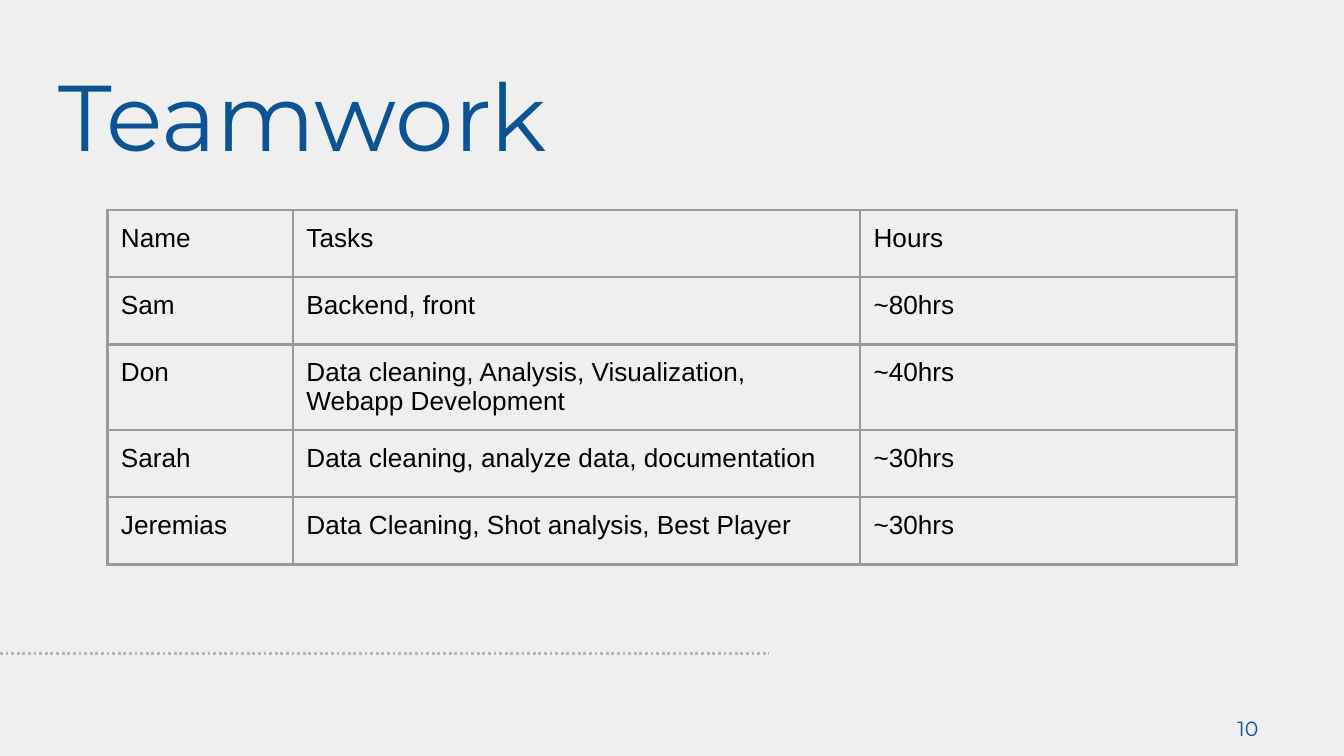
from pptx import Presentation
from pptx.dml.color import RGBColor
from pptx.enum.dml import MSO_LINE_DASH_STYLE as Dash
from pptx.enum.shapes import MSO_CONNECTOR as Connector, MSO_SHAPE as Shape
from pptx.enum.text import MSO_ANCHOR as Anchor, PP_ALIGN as Align
from pptx.oxml.ns import qn
from pptx.util import Pt
from lxml.etree import SubElement

COLORS = {
    "background": "EFEFEF",
    "accent": "0B5394",
    "text": "000000",
    "border": "999999",
    "rule": "B7B7B7",
}
TITLE_FONT = {"name": "Montserrat", "size": Pt(50), "bold": False}
NUMBER_FONT = {"name": "Montserrat", "size": Pt(11)}
CELL_FONT = {"name": "Arial", "size": Pt(14), "bold": False}
MARGINS = ("margin_left", "margin_top", "margin_right", "margin_bottom")
INSET = 7.2
COLUMN_WIDTHS = (99.4, 303.8, 201.6)
ROW_HEIGHT = 36
TEAM = [
    ("Name", "Tasks", "Hours"),
    ("Sam", "Backend, front", "~80hrs"),
    ("Don", "Data cleaning, Analysis, Visualization, Webapp Development", "~40hrs"),
    ("Sarah", "Data cleaning, analyze data, documentation", "~30hrs"),
    ("Jeremias", "Data Cleaning, Shot analysis, Best Player", "~30hrs"),
]


def color(key):
    return RGBColor.from_string(COLORS[key])


def set_margins(target, margins):
    for side, value in zip(MARGINS, margins):
        setattr(target, side, Pt(value))


def write(frame, text, font, color_key, align=Align.LEFT):
    para = frame.paragraphs[0]
    para.alignment = align
    span = para.add_run()
    span.text = text
    for name, value in font.items():
        setattr(span.font, name, value)
    span.font.color.rgb = color(color_key)
    return para


def add_rule(page, left, top, width):
    rule = page.shapes.add_connector(
        Connector.STRAIGHT, Pt(left), Pt(top), Pt(left + width), Pt(top)
    )
    rule.line.color.rgb = color("rule")
    rule.line.width = Pt(1.5)
    rule.line.dash_style = Dash.ROUND_DOT
    SubElement(rule.element.spPr, qn("a:effectLst"))


def add_page_number(page, left, top, width, height):
    box = page.shapes.add_shape(
        Shape.RECTANGLE, Pt(left), Pt(top), Pt(width), Pt(height)
    )
    box.shadow.inherit = False
    box.fill.solid()
    box.fill.fore_color.rgb = color("background")
    box.line.fill.background()
    frame = box.text_frame
    frame.word_wrap = True
    frame.vertical_anchor = Anchor.MIDDLE
    set_margins(frame, (0, 0, 0, INSET))
    write(frame, "10", NUMBER_FONT, "accent", Align.CENTER)


def place_title(page, left, top, width, height):
    title = page.shapes.title
    title.left, title.top = Pt(left), Pt(top)
    title.width, title.height = Pt(width), Pt(height)
    frame = title.text_frame
    frame.vertical_anchor = Anchor.TOP
    set_margins(frame, [INSET] * 4)
    para = write(frame, "Teamwork", TITLE_FONT, "accent")
    para.line_spacing = 0.7
    para.space_before = Pt(0)


def add_borders(cell):
    properties = cell._tc.get_or_add_tcPr()
    for side in ("a:lnL", "a:lnR", "a:lnT", "a:lnB"):
        line = SubElement(properties, qn(side), w=str(Pt(1.5)))
        fill = SubElement(line, qn("a:solidFill"))
        SubElement(fill, qn("a:srgbClr"), val=COLORS["border"])


def add_team_table(page, left, top):
    table = page.shapes.add_table(
        len(TEAM), len(COLUMN_WIDTHS), Pt(left), Pt(top),
        Pt(sum(COLUMN_WIDTHS)), Pt(ROW_HEIGHT * len(TEAM)),
    ).table
    table.first_row = table.horz_banding = False
    for column, width in zip(table.columns, COLUMN_WIDTHS):
        column.width = Pt(width)
    for row, texts in zip(table.rows, TEAM):
        row.height = Pt(ROW_HEIGHT)
        for cell, text in zip(row.cells, texts):
            set_margins(cell, [INSET] * 4)
            add_borders(cell)
            cell.fill.background()
            write(cell.text_frame, text, CELL_FONT, "text")


def build_team_slide(deck):
    page = deck.slides.add_slide(deck.slide_layouts[5])
    page.background.fill.solid()
    page.background.fill.fore_color.rgb = color("background")
    add_rule(page, 0, 350, 412)
    add_page_number(page, 658, 382.5, 21, 23)
    place_title(page, 24, 40.5, 663, 75)
    add_team_table(page, 57.6, 112.5)


def main():
    deck = Presentation()
    deck.slide_width, deck.slide_height = Pt(720), Pt(405)
    build_team_slide(deck)
    deck.save("out.pptx")


if __name__ == "__main__":
    main()
